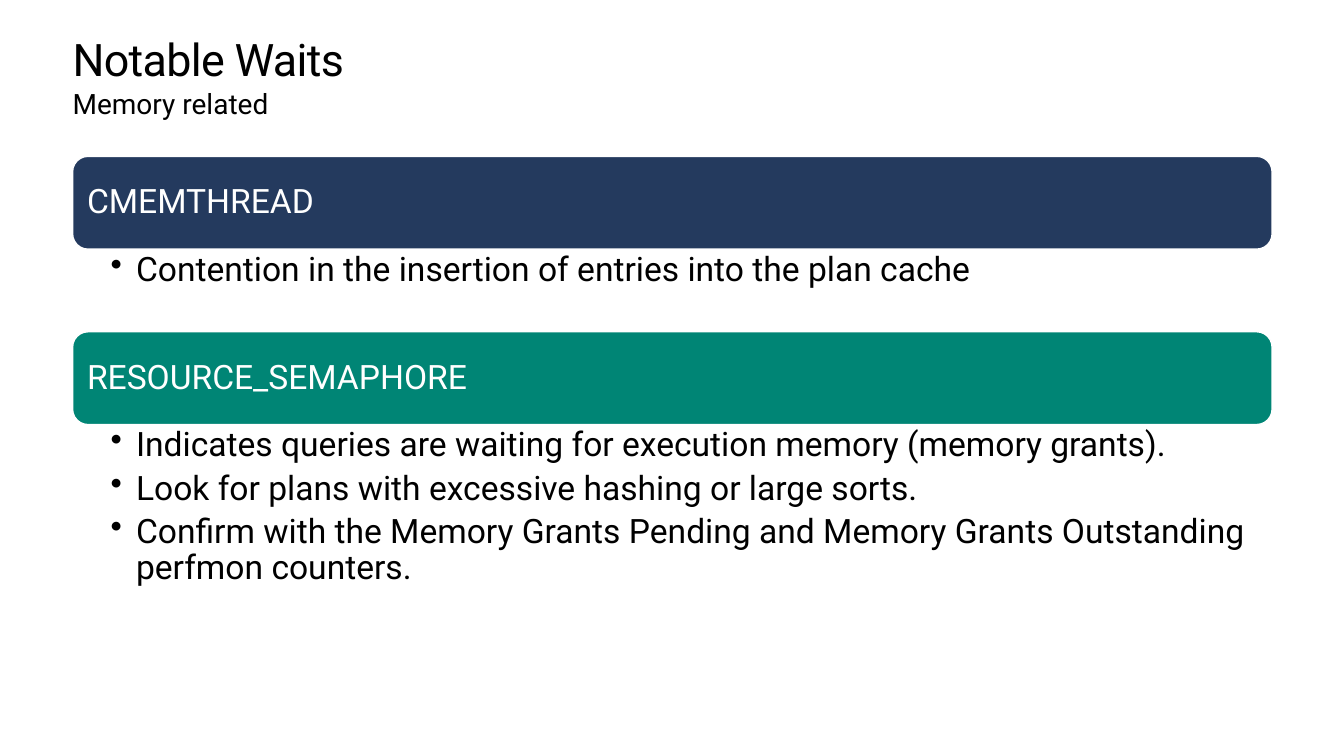
from dataclasses import dataclass

from lxml.etree import SubElement
from pptx import Presentation
from pptx.dml.color import RGBColor
from pptx.enum.shapes import MSO_SHAPE
from pptx.enum.text import MSO_ANCHOR, PP_ALIGN
from pptx.oxml.ns import qn
from pptx.slide import Slide
from pptx.text.text import TextFrame, _Paragraph
from pptx.util import Cm, Pt

FONT = "Roboto"
COLORS = {"black": "000000", "white": "FFFFFF", "navy": "243A5E", "teal": "008575"}
LEFT, WIDTH = Cm(1.83), Cm(30.23)
BAR = Cm(2.34)


@dataclass
class Wait:
    name: str
    color: str
    top: float
    depth: float
    notes: list[str]


WAITS = [
    Wait("CMEMTHREAD", "navy", 3.94, 2.06,
         ["Contention in the insertion of entries into the plan cache"]),
    Wait("RESOURCE_SEMAPHORE", "teal", 8.36, 4.78,
         ["Indicates queries are waiting for execution memory (memory grants).",
          "Look for plans with excessive hashing or large sorts.",
          "Confirm with the Memory Grants Pending and Memory Grants Outstanding "
          "perfmon counters."]),
]


def tint(name: str) -> RGBColor:
    return RGBColor.from_string(COLORS[name])


def inset(frame: TextFrame, left: float = 0, right: float = 0, edge: float = 0) -> None:
    """Wrap the text and set its margins in centimetres."""
    frame.word_wrap = True
    frame.margin_left, frame.margin_right = Cm(left), Cm(right)
    frame.margin_top = frame.margin_bottom = Cm(edge)


def style(para: _Paragraph, size: int, color: str = "black") -> None:
    para.alignment = PP_ALIGN.LEFT
    para.font.name, para.font.size = FONT, Pt(size)
    para.font.color.rgb = tint(color)


def add_line(slide: Slide, text: str, top: float, size: int) -> _Paragraph:
    frame = slide.shapes.add_textbox(LEFT, Cm(top), WIDTH, Cm(1.27)).text_frame
    inset(frame)
    para = frame.paragraphs[0]
    para.text = text
    style(para, size)
    return para


def add_bar(slide: Slide, wait: Wait) -> None:
    bar = slide.shapes.add_shape(
        MSO_SHAPE.ROUNDED_RECTANGLE, LEFT, Cm(wait.top), WIDTH, BAR)
    bar.shadow.inherit = False
    bar.fill.solid()
    bar.fill.fore_color.rgb = tint(wait.color)
    bar.line.color.rgb = tint("white")
    bar.line.width = Pt(1)
    frame = bar.text_frame
    inset(frame, 0.25, 0.25, 0.25)
    frame.vertical_anchor = MSO_ANCHOR.MIDDLE
    para = frame.paragraphs[0]
    para.text = wait.name
    para.line_spacing = 0.9
    style(para, 24, "white")


def add_notes(slide: Slide, wait: Wait) -> None:
    frame = slide.shapes.add_textbox(
        LEFT, Cm(wait.top) + BAR, WIDTH, Cm(wait.depth)).text_frame
    inset(frame, 0.96, 0.48, 0.08)
    for i, note in enumerate(wait.notes):
        para = frame.add_paragraph() if i else frame.paragraphs[0]
        para.text = note
        para.line_spacing = 0.9
        para.space_after = Pt(5)
        props = para._p.get_or_add_pPr()
        props.set("marL", str(Cm(0.64)))
        props.set("indent", str(-Cm(0.64)))
        SubElement(props, qn("a:buChar")).set("char", "•")
        style(para, 24)


def main() -> None:
    deck = Presentation()
    deck.slide_width, deck.slide_height = Cm(33.87), Cm(19.05)
    slide = deck.slides.add_slide(deck.slide_layouts[6])
    title = add_line(slide, "Notable Waits", 0.89, 32)
    title.line_spacing = Pt(36.2)
    title.runs[0]._r.get_or_add_rPr().set("spc", "-50")
    add_line(slide, "Memory related", 2.18, 20)
    for wait in WAITS:
        add_bar(slide, wait)
        add_notes(slide, wait)
    deck.save("out.pptx")


if __name__ == "__main__":
    main()
